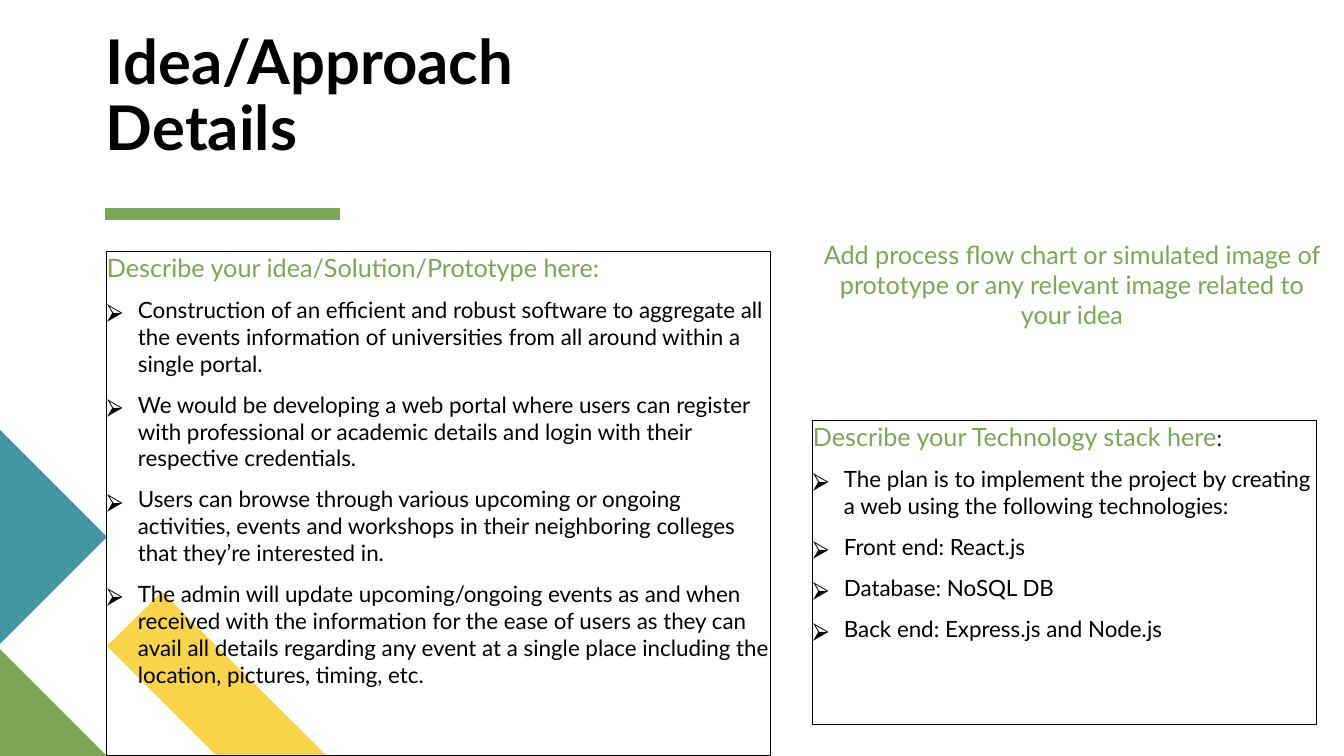
from lxml.etree import SubElement
from pptx import Presentation
from pptx.dml.color import RGBColor
from pptx.enum.shapes import MSO_CONNECTOR as Connector
from pptx.enum.text import MSO_ANCHOR as Anchor, MSO_AUTO_SIZE as AutoSize, PP_ALIGN as Align
from pptx.oxml.ns import qn
from pptx.util import Pt

EMU_PER_PX = 914400 / 100.8
BLACK, GREEN, TEAL, YELLOW = "000000", "7CA655", "4495A2", "F9D448"


def px(length):
    return round(length * EMU_PER_PX)


def rgb(hex_colour):
    return RGBColor.from_string(hex_colour)


class SlideBuilder:
    font = "Lato"
    heading_size, body_size = 18, 16
    bullet_indent = 31

    def __init__(self, slide):
        self.slide = slide
        self.shapes = slide.shapes

    def style(self, font, size, colour, bold=False):
        font.name, font.size, font.bold = self.font, Pt(size), bold
        font.color.rgb = rgb(colour)

    def title(self, text, left, top, width, height):
        title = self.shapes.title
        title.left, title.top, title.width, title.height = map(px, (left, top, width, height))
        frame = self.frame(title, 0, 0)
        frame.vertical_anchor = Anchor.BOTTOM
        frame.text = text
        heading = frame.paragraphs[0]
        heading.alignment, heading.line_spacing = Align.LEFT, 0.9
        self.style(heading.font, 44, BLACK, bold=True)

    def frame(self, shape, side, end):
        frame = shape.text_frame
        frame.word_wrap, frame.auto_size = True, AutoSize.NONE
        frame.margin_left = frame.margin_right = px(side)
        frame.margin_top = frame.margin_bottom = px(end)
        return frame

    def polygon(self, points, colour):
        outline = self.shapes.build_freeform(*points[0], scale=EMU_PER_PX)
        outline.add_line_segments(points[1:], close=True)
        shape = outline.convert_to_shape()
        shape.shadow.inherit = False
        shape.fill.solid()
        shape.fill.fore_color.rgb = rgb(colour)
        shape.line.fill.background()

    def rule(self, left, right, y, colour, weight):
        rule = self.shapes.add_connector(Connector.STRAIGHT, *map(px, (left, y, right, y)))
        rule.line.color.rgb, rule.line.width = rgb(colour), Pt(weight)
        SubElement(rule._element.spPr, qn("a:effectLst"))

    def caption(self, text, left, top, width, height):
        box = self.shapes.add_textbox(*map(px, (left, top, width, height)))
        frame = self.frame(box, 10, 5)
        frame.text = text
        caption = frame.paragraphs[0]
        caption.alignment = Align.CENTER
        self.style(caption.font, self.heading_size, GREEN)

    def bullet(self, paragraph):
        props = paragraph._p.get_or_add_pPr()
        props.set("marL", str(px(self.bullet_indent)))
        props.set("indent", str(-px(self.bullet_indent)))
        colour = SubElement(props, qn("a:buClr"))
        SubElement(colour, qn("a:srgbClr"), val=BLACK)
        SubElement(props, qn("a:buFont"), typeface="Noto Sans Symbols")
        SubElement(props, qn("a:buChar"), char="⮚")

    def panel(self, heading, points, left, top, width, height, suffix=""):
        box = self.shapes.add_textbox(*map(px, (left, top, width, height)))
        box.line.color.rgb, box.line.width = rgb(BLACK), Pt(0.75)
        frame = self.frame(box, 0, 0)
        frame.text = heading
        first = frame.paragraphs[0]
        self.style(first.font, self.heading_size, GREEN)
        if suffix:
            ending = first.add_run()
            ending.text = suffix
            self.style(ending.font, self.body_size, BLACK)
        for text in points:
            point = frame.add_paragraph()
            point.text = text
            point.space_before = Pt(10)
            self.bullet(point)
            self.style(point.font, self.body_size, BLACK)


def main():
    deck = Presentation()
    deck.slide_width, deck.slide_height = px(1344), px(756)
    builder = SlideBuilder(deck.slides.add_slide(deck.slide_layouts[5]))

    # Corner decoration
    builder.polygon([(327, 756), (217, 756), (107, 646), (162, 592)], YELLOW)
    builder.polygon([(107, 756), (0, 756), (0, 649)], GREEN)
    builder.polygon([(0, 430), (107, 537), (0, 644)], TEAL)

    # Title and rule
    builder.title("Idea/Approach Details", 106, 97, 600, 67)
    builder.rule(105, 340, 214, GREEN, 8)

    # Idea panel
    idea_points = [
        "Construction of an efficient and robust software to aggregate all the events "
        "information of universities from all around within a single portal.",
        "We would be developing a web portal where users can register with professional "
        "or academic details and login with their respective credentials.",
        "Users can browse through various upcoming or ongoing activities, events and "
        "workshops in their neighboring colleges that they’re interested in.",
        "The admin will update upcoming/ongoing events as and when received with the "
        "information for the ease of users as they can avail all details regarding any "
        "event at a single place including the location, pictures, timing, etc.",
    ]
    builder.panel("Describe your idea/Solution/Prototype here:", idea_points, 107, 252, 664, 504)

    # Flow chart prompt
    builder.caption("Add process flow chart or simulated image of prototype or any "
                    "relevant image related to your idea", 813, 234, 518, 102)

    # Technology panel
    technology_points = [
        "The plan is to implement the project by creating a web using the following technologies:",
        "Front end: React.js",
        "Database: NoSQL DB",
        "Back end: Express.js and Node.js",
    ]
    builder.panel("Describe your Technology stack here", technology_points,
                  813, 421, 504, 304, suffix=":")

    deck.save("out.pptx")


if __name__ == "__main__":
    main()
